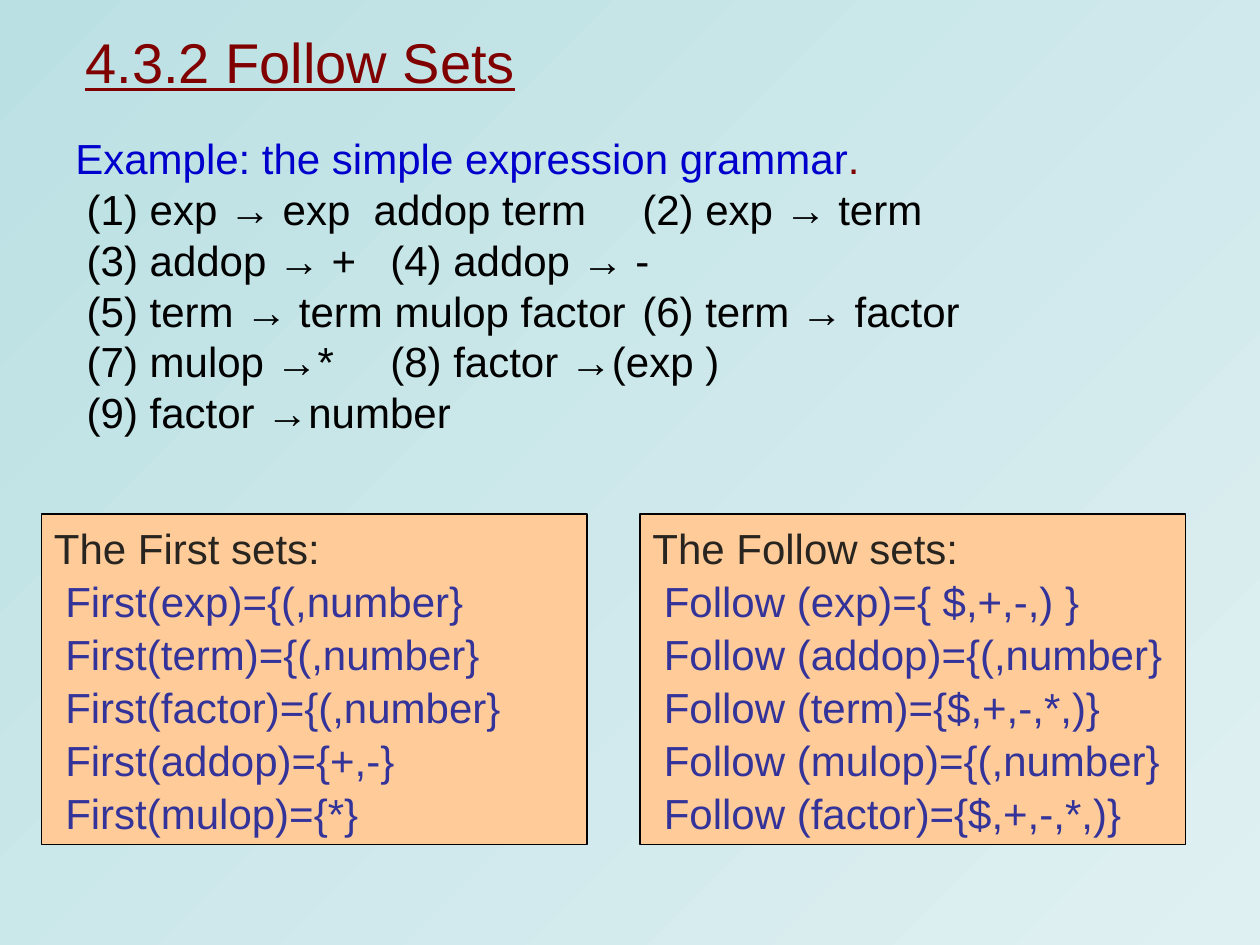
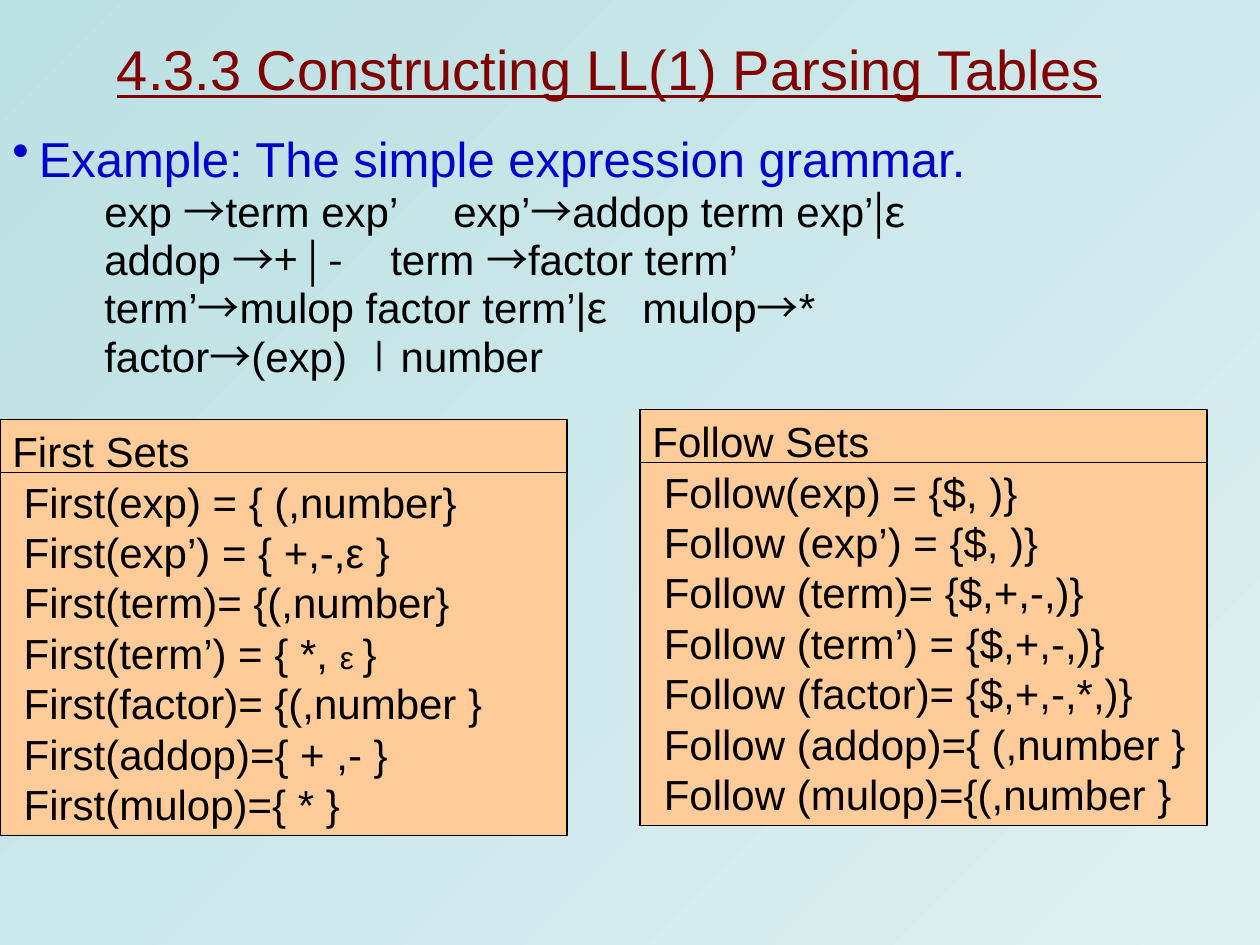
from dataclasses import dataclass
from typing import NamedTuple

from lxml import etree
from pptx import Presentation
from pptx.dml.color import RGBColor
from pptx.enum.shapes import MSO_CONNECTOR, MSO_SHAPE
from pptx.enum.text import MSO_ANCHOR
from pptx.oxml.ns import qn
from pptx.util import Inches, Pt

RECTANGLE = MSO_SHAPE.RECTANGLE
STRAIGHT = MSO_CONNECTOR.STRAIGHT
TOP, MIDDLE = MSO_ANCHOR.TOP, MSO_ANCHOR.MIDDLE

COLORS = {
    "back_start": "BBE0E3",
    "back_end": "DFF0F2",
    "title": "800000",
    "example": "0000CC",
    "text": "000000",
    "panel": "FFCC99",
    "heading": "282420",
    "sets": "333399",
}
TEXT_FONT = "Arial"
SYMBOL_FONT = "Noto Sans CJK SC"
BODY_SIZE = 24
TITLE_SIZE = 32
ITEM_INDENT = 0.09
DIVIDER_DROP = 0.42


class Span(NamedTuple):
    text: str
    font: str = TEXT_FONT
    size: float | None = None
    color: str | None = None


@dataclass(frozen=True)
class Line:
    spans: tuple[Span, ...]
    size: float = BODY_SIZE
    color: str = "text"
    spacing: float = 1.0
    before: float = 0
    indent: float = 0
    tab: float | None = None
    bullet_indent: float | None = None
    underline: bool = False


@dataclass(frozen=True)
class Panel:
    left: float
    top: float
    width: float
    height: float
    heading: str
    sets: tuple[str | tuple[Span, ...], ...]
    heading_color: str = "text"
    sets_color: str = "text"
    spacing: float = 1.0
    divided: bool = False


def rgb(name: str) -> RGBColor:
    return RGBColor.from_string(COLORS[name])


def make_line(content: str | tuple[Span, ...], **options) -> Line:
    spans = (Span(content),) if isinstance(content, str) else content
    return Line(spans, **options)


def symbol(text: str) -> Span:
    return Span(text, SYMBOL_FONT)


def format_paragraph(para, line: Line) -> None:
    properties = para._p.get_or_add_pPr()
    if line.bullet_indent is None:
        properties.set("marL", "0")
        properties.set("indent", str(Inches(line.indent)))
    else:
        properties.set("marL", str(Inches(line.bullet_indent)))
        properties.set("indent", str(-Inches(line.bullet_indent)))
        bullet = etree.SubElement(properties, qn("a:buChar"))
        bullet.set("char", "•")
    if line.tab is not None:
        tabs = etree.SubElement(properties, qn("a:tabLst"))
        tab = etree.SubElement(tabs, qn("a:tab"))
        tab.set("pos", str(Inches(line.tab)))
        tab.set("algn", "l")
    para.line_spacing = line.spacing
    para.space_before = Pt(line.before)


def fill_text(frame, lines: list[Line], anchor=TOP) -> None:
    frame.word_wrap = True
    frame.vertical_anchor = anchor
    for index, line in enumerate(lines):
        para = frame.add_paragraph() if index else frame.paragraphs[0]
        format_paragraph(para, line)
        for span in line.spans:
            run = para.add_run()
            run.text = span.text
            run.font.name = span.font
            run.font.size = Pt(span.size or line.size)
            run.font.color.rgb = rgb(span.color or line.color)
            run.font.underline = line.underline


def add_text(page, left: float, top: float, width: float, height: float,
             lines: list[Line], anchor=TOP) -> None:
    box = page.shapes.add_textbox(Inches(left), Inches(top), Inches(width), Inches(height))
    fill_text(box.text_frame, lines, anchor)


def add_panel(page, panel: Panel) -> None:
    box = page.shapes.add_shape(RECTANGLE, Inches(panel.left), Inches(panel.top),
                                Inches(panel.width), Inches(panel.height))
    box.shadow.inherit = False
    box.fill.solid()
    box.fill.fore_color.rgb = rgb("panel")
    box.line.color.rgb = rgb("text")
    box.line.width = Pt(0.75)
    heading = make_line(panel.heading, color=panel.heading_color, spacing=panel.spacing)
    items = [make_line(item, color=panel.sets_color, spacing=panel.spacing, indent=ITEM_INDENT)
             for item in panel.sets]
    for_left_aligned = [heading, *items]
    fill_text(box.text_frame, for_left_aligned)
    for para in box.text_frame.paragraphs:
        para._p.get_or_add_pPr().set("algn", "l")
    if panel.divided:
        height = Inches(panel.top + DIVIDER_DROP)
        divider = page.shapes.add_connector(STRAIGHT, Inches(panel.left), height,
                                            Inches(panel.left + panel.width), height)
        divider.line.color.rgb = rgb("text")
        divider.line.width = Pt(0.75)
        etree.SubElement(divider._element.spPr, qn("a:effectLst"))


def add_page(deck, title: str, left: float, height: float):
    page = deck.slides.add_slide(deck.slide_layouts[6])
    fill = page.background.fill
    fill.gradient()
    fill.gradient_angle = 315
    for stop, name in zip(fill.gradient_stops, ("back_start", "back_end")):
        stop.color.rgb = rgb(name)
    heading = make_line(title, size=TITLE_SIZE, color="title", underline=True)
    add_text(page, left, 0.25, 8.5, height, [heading], MIDDLE)
    return page


def build_follow_sets(deck) -> None:
    page = add_page(deck, "4.3.2 Follow Sets", 0.58, 0.47)
    example = (Span("Example: the simple expression grammar"), Span(".", color="title"))
    rules = (
        "(1) exp → exp  addop term\t(2) exp → term",
        "(3) addop → +\t(4) addop → -",
        "(5) term → term mulop factor\t(6) term → factor",
        "(7) mulop →*\t(8) factor →(exp )",
        "(9) factor →number",
    )
    lines = [make_line(example, color="example", spacing=0.8)]
    lines += [make_line(rule, spacing=0.8, before=6, indent=ITEM_INDENT, tab=4.9)
              for rule in rules]
    add_text(page, 0.5, 1.08, 8.67, 2.5, lines)

    style = dict(top=4.08, width=4.33, height=2.62, heading_color="heading",
                 sets_color="sets", spacing=1.05)
    add_panel(page, Panel(left=0.33, heading="The First sets:", sets=(
        "First(exp)={(,number}",
        "First(term)={(,number}",
        "First(factor)={(,number}",
        "First(addop)={+,-}",
        "First(mulop)={*}",
    ), **style))
    add_panel(page, Panel(left=5.08, heading="The Follow sets:", sets=(
        "Follow (exp)={ $,+,-,) }",
        "Follow (addop)={(,number}",
        "Follow (term)={$,+,-,*,)}",
        "Follow (mulop)={(,number}",
        "Follow (factor)={$,+,-,*,)}",
    ), **style))


def build_parsing_tables(deck) -> None:
    page = add_page(deck, "4.3.3 Constructing LL(1) Parsing Tables", 0.83, 0.58)
    arrow = symbol("→")
    rules = (
        (5.27, (Span("exp "), arrow, Span("term exp’\texp’"), arrow,
                Span("addop term exp’"), symbol("|ε"))),
        (3.67, (Span("addop "), symbol("→+ | -"), Span("\tterm "), arrow,
                Span("factor term’"))),
        (4.86, (Span("term’"), arrow, Span("mulop factor term’|"), symbol("ε"),
                Span("\tmulop"), arrow, Span("*"))),
        (None, (Span("factor"), arrow, Span("(exp) "), symbol("∣"), Span("number"))),
    )
    lines = [make_line("Example: The simple expression grammar.", size=28,
                       color="example", spacing=0.75, bullet_indent=0.21)]
    lines += [make_line(spans, spacing=0.75, before=6, indent=0.73, tab=tab)
              for tab, spans in rules]
    add_text(page, 0, 1.08, 10, 2.17, lines)

    style = dict(width=4.5, height=3.3, divided=True)
    add_panel(page, Panel(left=0, top=3.33, heading="First Sets", sets=(
        "First(exp) = { (,number}",
        "First(exp’) = { +,-,ε }",
        "First(term)= {(,number}",
        (Span("First(term’) = { *, "), Span("ε ", size=18), Span("}")),
        "First(factor)= {(,number }",
        "First(addop)={ + ,- }",
        "First(mulop)={ * }",
    ), **style))
    add_panel(page, Panel(left=5.08, top=3.25, heading="Follow Sets", sets=(
        "Follow(exp) = {$, )}",
        "Follow (exp’) = {$, )}",
        "Follow (term)= {$,+,-,)}",
        "Follow (term’) = {$,+,-,)}",
        "Follow (factor)= {$,+,-,*,)}",
        "Follow (addop)={ (,number }",
        "Follow (mulop)={(,number }",
    ), **style))


def main() -> None:
    deck = Presentation()
    deck.slide_width = Inches(10)
    deck.slide_height = Inches(7.5)
    build_follow_sets(deck)
    build_parsing_tables(deck)
    deck.save("out.pptx")


if __name__ == "__main__":
    main()
